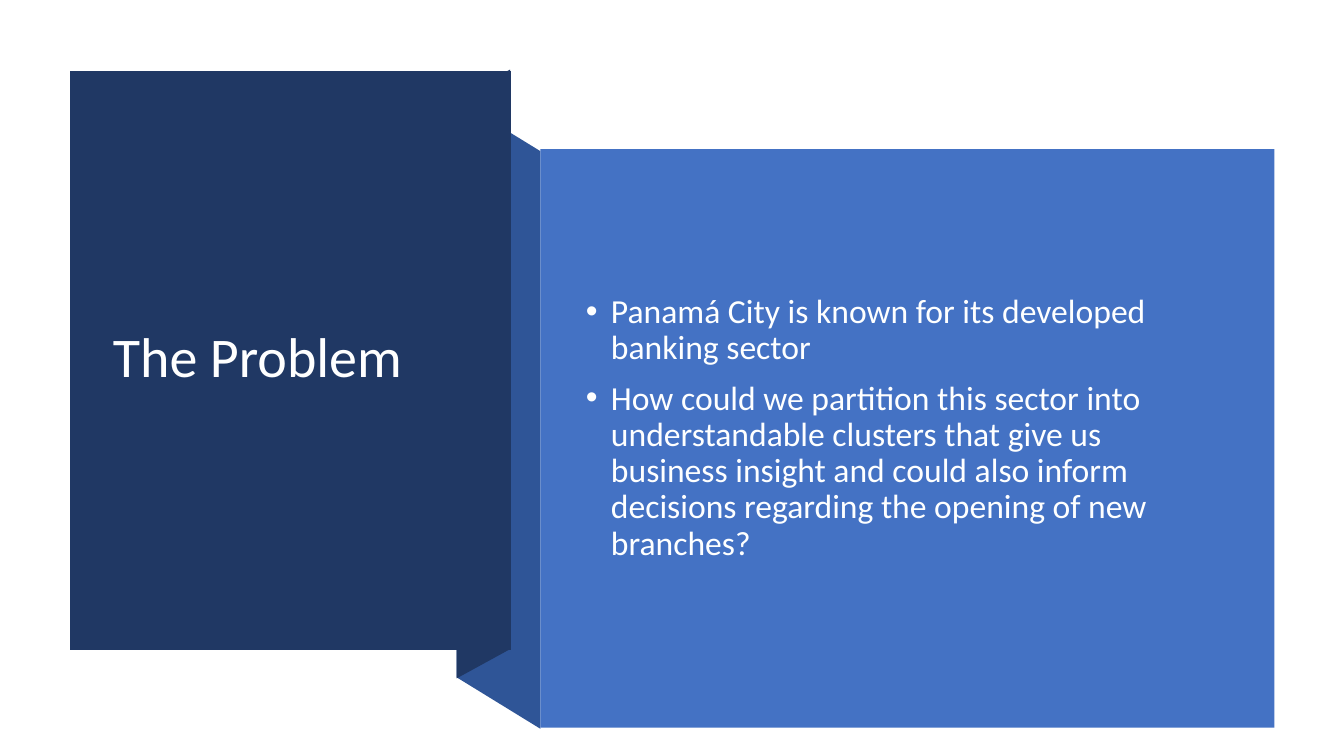
"""Build the folded-ribbon slide that states the problem."""
from dataclasses import dataclass

from lxml import etree
from pptx import Presentation
from pptx.dml.color import RGBColor
from pptx.enum.shapes import MSO_SHAPE
from pptx.enum.text import MSO_ANCHOR, MSO_AUTO_SIZE, PP_ALIGN
from pptx.oxml.ns import qn
from pptx.util import Emu, Pt

RECTANGLE = MSO_SHAPE.RECTANGLE
MIDDLE = MSO_ANCHOR.MIDDLE
NO_AUTOFIT = MSO_AUTO_SIZE.NONE
LEFT = PP_ALIGN.LEFT

EMU_PER_PX = 9144
TITLE_AND_CONTENT = 1
FONT = "Calibri"
BULLET_INDENT = 25
COLOURS = {
    "navy": "203864",
    "fold": "2F5597",
    "panel": "4472C4",
    "title": "FFFFFF",
    "body": "FEFFFF",
}


@dataclass(frozen=True)
class Area:
    left: int
    top: int
    width: int
    height: int


@dataclass(frozen=True)
class Face:
    points: tuple[tuple[int, int], ...]
    colour: str


@dataclass(frozen=True)
class Copy:
    area: Area
    lines: tuple[str, ...]
    size: int
    colour: str
    space_before: int = 0
    bulleted: bool = False


FACES = (
    Face(((536, 723), (453, 672), (453, 99), (536, 150)), "fold"),
    Face(((506, 644), (453, 673), (453, 98), (506, 69)), "navy"),
    Face(((69, 70), (507, 70), (507, 645), (69, 645)), "navy"),
)
PANEL = Area(536, 148, 728, 574)
TITLE = Copy(Area(102, 107, 371, 499), ("The Problem",), 40, "title")
BODY = Copy(
    Area(571, 188, 651, 474),
    (
        "Panamá City is known for its developed banking sector",
        "How could we partition this sector into understandable clusters "
        "that give us business insight and could also inform decisions "
        "regarding the opening of new branches?",
    ),
    24,
    "body",
    space_before=10,
    bulleted=True,
)


def px(length: int) -> Emu:
    """Turn pixels into EMU."""
    return Emu(length * EMU_PER_PX)


def rgb(name: str) -> RGBColor:
    """Look up a named colour."""
    return RGBColor.from_string(COLOURS[name])


def paint(shape, colour: str) -> None:
    """Give a shape a flat fill without line or shadow."""
    shape.shadow.inherit = False
    shape.fill.solid()
    shape.fill.fore_color.rgb = rgb(colour)
    shape.line.fill.background()


def draw_face(page, face: Face) -> None:
    """Draw one face of the folded ribbon."""
    start, *others = face.points
    builder = page.shapes.build_freeform(*start, scale=EMU_PER_PX)
    builder.add_line_segments(others, close=True)
    paint(builder.convert_to_shape(), face.colour)


def draw_panel(page, area: Area, colour: str) -> None:
    """Draw the flat panel behind the list."""
    panel = page.shapes.add_shape(
        RECTANGLE, px(area.left), px(area.top), px(area.width), px(area.height)
    )
    paint(panel, colour)


def add_bullet(para) -> None:
    """Give a paragraph a hanging round bullet."""
    properties = para._p.get_or_add_pPr()
    properties.set("marL", str(px(BULLET_INDENT)))
    properties.set("indent", str(px(-BULLET_INDENT)))
    font = etree.SubElement(properties, qn("a:buFont"))
    font.set("typeface", "Arial")
    bullet = etree.SubElement(properties, qn("a:buChar"))
    bullet.set("char", "•")


def fill_placeholder(page, box, text: Copy) -> None:
    """Place a placeholder in front and write its text."""
    page.shapes.element.append(box.element)
    area = text.area
    box.left, box.top = px(area.left), px(area.top)
    box.width, box.height = px(area.width), px(area.height)
    frame = box.text_frame
    frame.word_wrap = True
    frame.auto_size = NO_AUTOFIT
    frame.vertical_anchor = MIDDLE
    for index, line in enumerate(text.lines):
        para = frame.add_paragraph() if index else frame.paragraphs[0]
        para.alignment = LEFT
        para.line_spacing = 0.9
        para.space_before = Pt(text.space_before)
        if text.bulleted:
            add_bullet(para)
        span = para.add_run()
        span.text = line
        span.font.name = FONT
        span.font.size = Pt(text.size)
        span.font.color.rgb = rgb(text.colour)


def main() -> None:
    """Build and save the deck."""
    deck = Presentation()
    deck.slide_width, deck.slide_height = px(1333), px(750)
    page = deck.slides.add_slide(deck.slide_layouts[TITLE_AND_CONTENT])
    title, body = page.placeholders
    for face in FACES:
        draw_face(page, face)
    fill_placeholder(page, title, TITLE)
    draw_panel(page, PANEL, "panel")
    fill_placeholder(page, body, BODY)
    deck.save("out.pptx")


if __name__ == "__main__":
    main()
